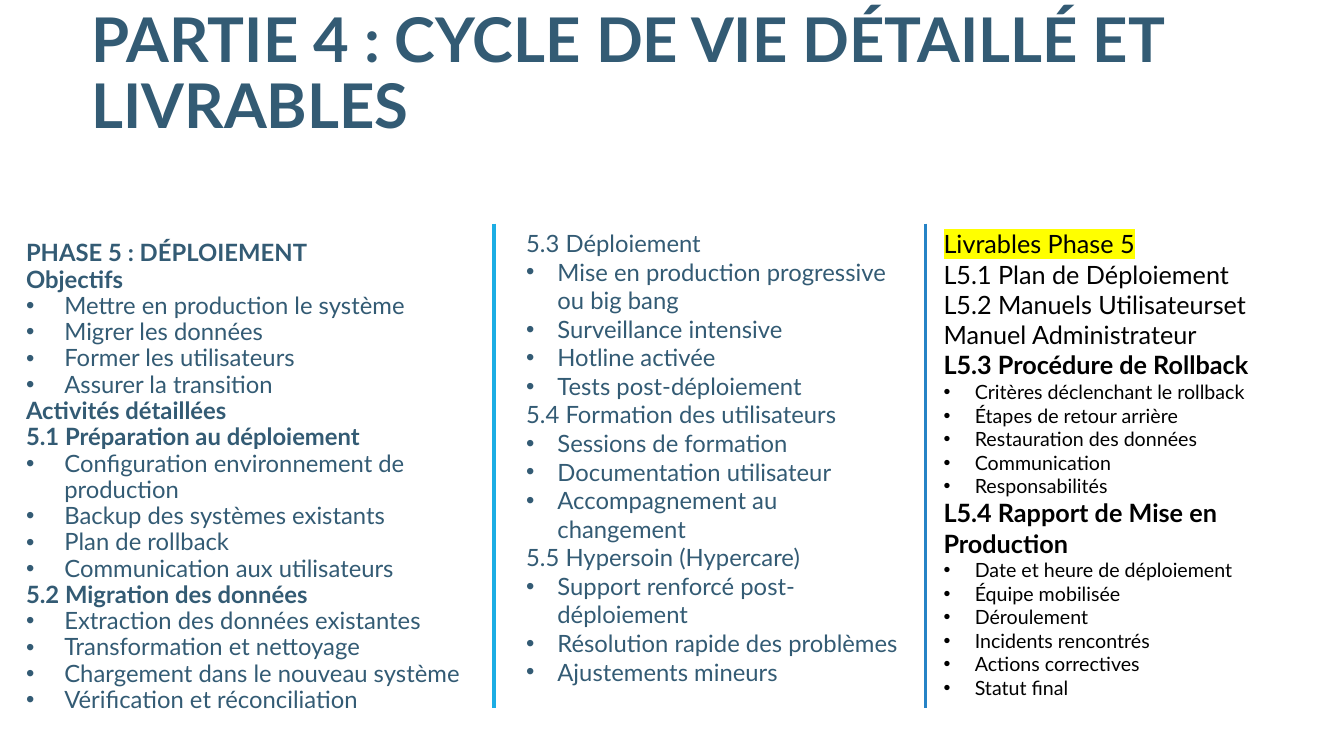
from lxml import etree
from pptx import Presentation
from pptx.dml.color import RGBColor
from pptx.enum.shapes import MSO_CONNECTOR as Connector
from pptx.enum.text import MSO_ANCHOR as Anchor
from pptx.oxml.ns import qn
from pptx.util import Inches, Pt

SLATE = RGBColor(0x33, 0x5B, 0x74)
BLACK = RGBColor(0, 0, 0)
CYAN = RGBColor(0x1C, 0xAD, 0xE4)
BLUE = RGBColor(0x26, 0x83, 0xC6)
YELLOW = RGBColor(0xFF, 0xFF, 0x00)

TITLE = "PARTIE 4 : CYCLE DE VIE DÉTAILLÉ ET LIVRABLES"

# Each column is a list of (heading, bullet items)
PHASE = [
    ("PHASE 5 : DÉPLOIEMENT", []),
    ("Objectifs", ["Mettre en production le système", "Migrer les données",
                   "Former les utilisateurs", "Assurer la transition"]),
    ("Activités détaillées", []),
    ("5.1 Préparation au déploiement",
     ["Configuration environnement de production", "Backup des systèmes existants",
      "Plan de rollback", "Communication aux utilisateurs"]),
    ("5.2 Migration des données",
     ["Extraction des données existantes", "Transformation et nettoyage",
      "Chargement dans le nouveau système", "Vérification et réconciliation"]),
]
ACTIVITIES = [
    ("5.3 Déploiement",
     ["Mise en production progressive ou big bang", "Surveillance intensive",
      "Hotline activée", "Tests post-déploiement"]),
    ("5.4 Formation des utilisateurs",
     ["Sessions de formation", "Documentation utilisateur", "Accompagnement au changement"]),
    ("5.5 Hypersoin (Hypercare)",
     ["Support renforcé post-déploiement", "Résolution rapide des problèmes",
      "Ajustements mineurs"]),
]
DELIVERABLES = [
    ("Livrables Phase 5", []),
    ("L5.1 Plan de Déploiement", []),
    ("L5.2 Manuels Utilisateurset Manuel Administrateur", []),
    ("L5.3 Procédure de Rollback",
     ["Critères déclenchant le rollback", "Étapes de retour arrière",
      "Restauration des données", "Communication", "Responsabilités"]),
    ("L5.4 Rapport de Mise en Production",
     ["Date et heure de déploiement", "Équipe mobilisée", "Déroulement",
      "Incidents rencontrés", "Actions correctives", "Statut final"]),
]


def add_text_frame(slide, box, anchor=Anchor.TOP):
    frame = slide.shapes.add_textbox(*map(Inches, box)).text_frame
    frame.word_wrap = True
    frame.vertical_anchor = anchor
    return frame


def add_line(frame, text, color, spacing=1.0, **font_format):
    """Fill the empty first paragraph, or add one, and return it."""
    first = frame.paragraphs[0]
    paragraph = frame.add_paragraph() if first.runs else first
    paragraph.line_spacing = spacing
    run = paragraph.add_run()
    run.text = text
    run.font.color.rgb = color
    for name, value in {"name": "Lato", **font_format}.items():
        setattr(run.font, name, value)
    return paragraph


def add_bullet(paragraph, indent):
    properties = paragraph._p.get_or_add_pPr()
    properties.set("marL", str(Inches(indent)))
    properties.set("indent", str(-Inches(indent)))
    etree.SubElement(properties, qn("a:buFont")).set("typeface", "Arial")
    etree.SubElement(properties, qn("a:buChar")).set("char", "•")


def highlight(paragraph, color):
    fill = paragraph.runs[0]._r.rPr.find(qn("a:solidFill"))
    mark = etree.Element(qn("a:highlight"))
    etree.SubElement(mark, qn("a:srgbClr")).set("val", str(color))
    fill.addnext(mark)


def add_title(slide, box):
    frame = add_text_frame(slide, box, Anchor.BOTTOM)
    add_line(frame, TITLE, SLATE, 0.89, size=Pt(44), bold=True)


def add_column(slide, box, sections, color, size, item_size, indent,
               bold_headings=(), spacing=1.0):
    frame = add_text_frame(slide, box)
    for heading, items in sections:
        add_line(frame, heading, color, spacing, size=Pt(size),
                 bold=heading in bold_headings)
        for item in items:
            paragraph = add_line(frame, item, color, spacing, size=Pt(item_size), bold=False)
            add_bullet(paragraph, indent)
    return frame


def add_divider(slide, left, top, height, color):
    line = slide.shapes.add_connector(Connector.STRAIGHT, *map(
        Inches, (left, top, left, top + height)))
    line.line.color.rgb = color
    line.line.width = Pt(2.75)
    etree.SubElement(line._element.spPr, qn("a:effectLst"))


def main():
    presentation = Presentation()
    presentation.slide_width = Inches(13.33)
    presentation.slide_height = Inches(7.5)
    slide = presentation.slides.add_slide(presentation.slide_layouts[6])

    add_title(slide, (0.81, 0, 11.55, 1.45))

    # Three text columns
    add_column(slide, (0.16, 2.34, 4.6, 4.91), PHASE, SLATE, 17, 17, 0.38,
               [heading for heading, _ in PHASE], 0.92)
    add_column(slide, (5.12, 2.22, 3.92, 5.27), ACTIVITIES, SLATE, 17, 17, 0.31)
    deliverables = add_column(slide, (9.26, 2.22, 3.92, 5.12), DELIVERABLES, BLACK, 18, 14,
                              0.31, [heading for heading, items in DELIVERABLES if items])
    highlight(deliverables.paragraphs[0], YELLOW)

    # Lines between the columns
    for left, color in ((4.9, CYAN), (9.18, BLUE)):
        add_divider(slide, left, 2.22, 4.8, color)

    presentation.save("out.pptx")


if __name__ == "__main__":
    main()
